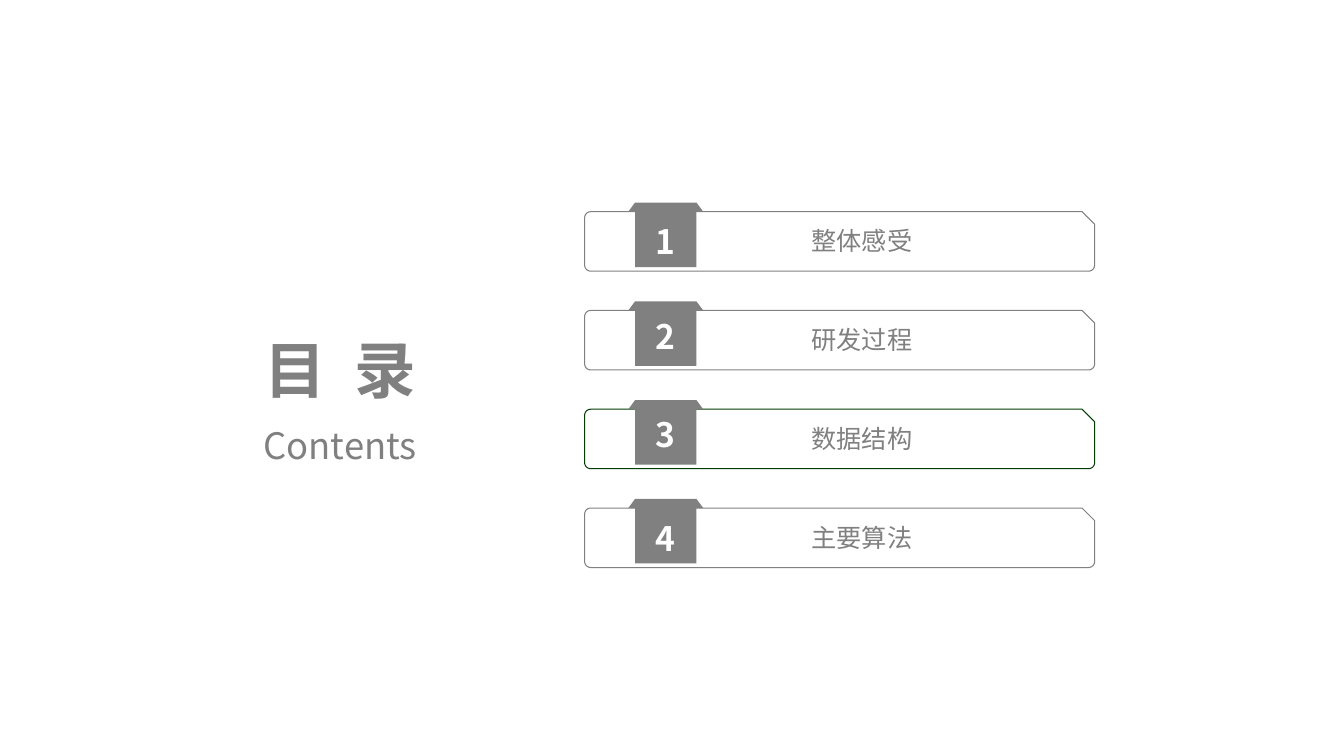
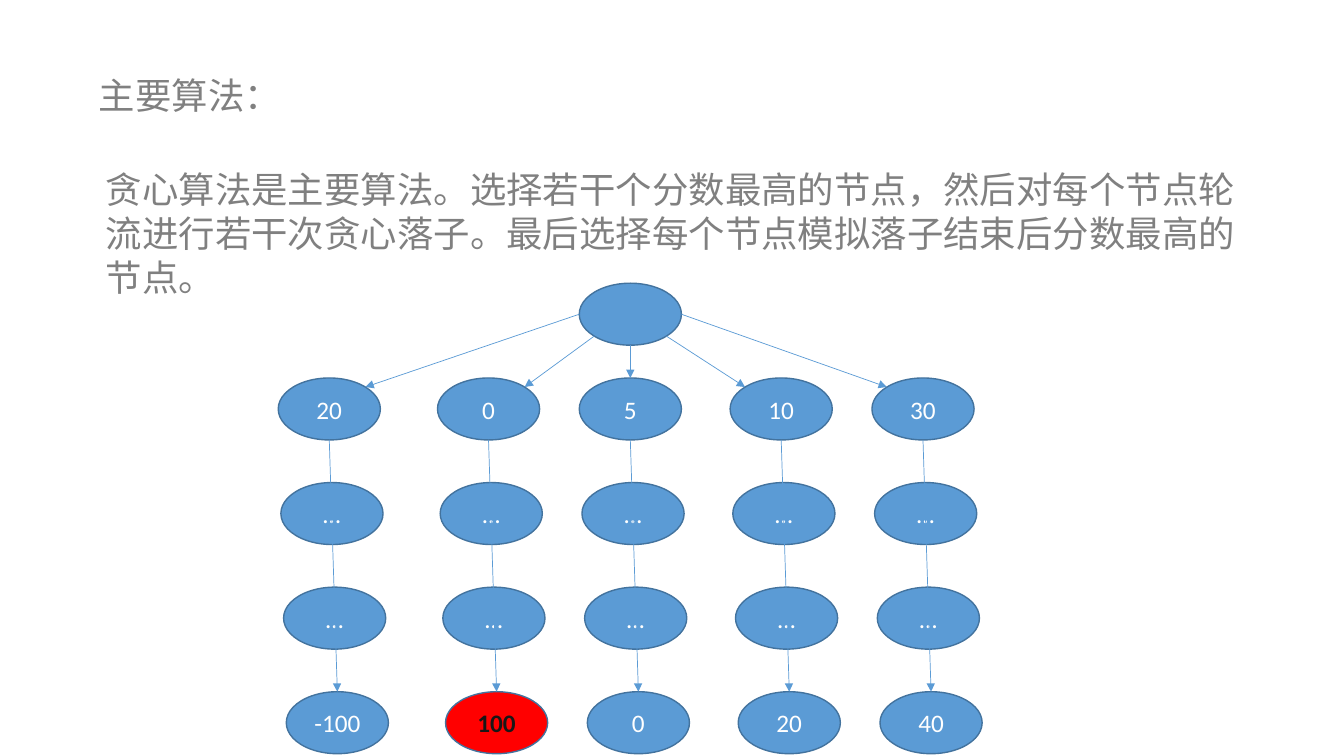
from math import cos, radians, sin

from lxml import etree
from pptx import Presentation
from pptx import util as u
from pptx.dml.color import RGBColor
from pptx.enum import shapes, text
from pptx.oxml import ns

COLORS = {
    "grey": "808080", "white": "FFFFFF", "green": "023D05", "blue": "5B9BD5",
    "edge": "43739E", "red": "FF0000", "ink": "181717",
}
CJK, LATIN = "Noto Sans CJK SC", "Calibri"
LEFT, CENTER = text.PP_ALIGN.LEFT, text.PP_ALIGN.CENTER

deck = Presentation()
deck.slide_width, deck.slide_height = u.Inches(13.33), u.Inches(7.5)
COL, ROW = deck.slide_width / 40, deck.slide_height / 30


def write(shape, words, size, color="grey", font=CJK, bold=False, align=LEFT,
          at=None, inset=None, wrap=True, anchor=text.MSO_ANCHOR.TOP):
    """Set the words of a shape, with its place given in columns and rows."""
    if at:
        shape.left, shape.top, shape.width, shape.height = (
            int(n * unit) for n, unit in zip(at, (COL, ROW, COL, ROW)))
    frame = shape.text_frame
    frame.text = words
    frame.word_wrap = wrap
    frame.auto_size = text.MSO_AUTO_SIZE.NONE
    frame.vertical_anchor = anchor
    if inset:
        frame.margin_left = frame.margin_right = u.Inches(inset[0])
        frame.margin_top = frame.margin_bottom = u.Inches(inset[1])
    for paragraph in frame.paragraphs:
        props = paragraph._p.get_or_add_pPr()
        props.set("marL", "0")
        props.set("indent", "0")
        etree.SubElement(props, ns.qn("a:buNone"))
        paragraph.alignment = align
        paragraph.space_before = u.Pt(0)
        if font == CJK:
            paragraph.line_spacing = u.Pt(1.2 * size)
        for run in paragraph.runs:
            run.font.name, run.font.size, run.font.bold = font, u.Pt(size), bold
            run.font.color.rgb = RGBColor.from_string(COLORS[color])
            east_asian = etree.SubElement(run._r.get_or_add_rPr(), ns.qn("a:ea"))
            east_asian.set("typeface", font)


def paint(shape, fill=None, line=None, width=0):
    shape.shadow.inherit = False
    if fill:
        shape.fill.solid()
        shape.fill.fore_color.rgb = RGBColor.from_string(COLORS[fill])
    else:
        shape.fill.background()
    if line:
        shape.line.color.rgb = RGBColor.from_string(COLORS[line])
        shape.line.width = u.Pt(width)
    else:
        shape.line.fill.background()


# Contents slide: heading
contents = deck.slides.add_slide(deck.slide_layouts[0])
heading, subheading = contents.placeholders
write(heading, "目 录", 44, bold=True, align=CENTER, at=(6.84, 12.96, 6.57, 3.36))
heading.text_frame.paragraphs[0].runs[0]._r.rPr.set("spc", "500")
write(subheading, "Contents", 26, align=CENTER, at=(6.84, 16.6, 6.57, 2.16))

# Contents slide: one card per chapter
chapters = [  # label, outline, drop of the number below the card's top
    ("整体感受", "grey", 0.24),
    ("研发过程", "grey", 0.08),
    ("数据结构", "green", 0.08),
    ("主要算法", "grey", 0.28),
]
card_left, card_right = 17.4 * COL, 32.58 * COL
radius, snip = 0.24 * ROW, 0.5 * ROW
tight = (0.06, 0.03)
for i, (label, outline, drop) in enumerate(chapters):
    row = 8.4 + 3.92 * i
    top, bottom = row * ROW, (row + 2.36) * ROW

    # Card with three round corners and one cut corner
    points = [(card_right - snip, top), (card_right, top + snip)]
    for x, y, start in ((card_right - radius, bottom - radius, 0),
                        (card_left + radius, bottom - radius, 90),
                        (card_left + radius, top + radius, 180)):
        for angle in range(start, start + 91, 15):
            points.append((x + radius * cos(radians(angle)),
                           y + radius * sin(radians(angle))))
    card = contents.shapes.build_freeform(*points[0])
    card.add_line_segments(points[1:])
    paint(card.convert_to_shape(), line=outline)
    write(contents.shapes.add_textbox(0, 0, 0, 0), label, 18,
          at=(23.97, row + 0.44, 8.94, 1.44), inset=tight)

    # Number tab folded over the card's edge
    fold_top = top - 0.36 * ROW
    fold = contents.shapes.build_freeform(18.9 * COL, fold_top)
    fold.add_line_segments([(20.73 * COL, fold_top), (20.93 * COL, top),
                            (18.7 * COL, top)])
    paint(fold.convert_to_shape(), fill="grey")
    tab = contents.shapes.add_shape(
        shapes.MSO_SHAPE.RECTANGLE, int(18.9 * COL), int(top - 0.28 * ROW),
        int(1.83 * COL), int(2.48 * ROW))
    paint(tab, fill="grey")
    write(contents.shapes.add_textbox(0, 0, 0, 0), str(i + 1), 24, "white",
          bold=True, align=CENTER, at=(19.17, row + drop, 1.26, 1.84), inset=tight)

# Algorithm slide: title and explanation
algorithm = deck.slides.add_slide(deck.slide_layouts[1])
title, explanation = algorithm.placeholders
write(title, "主要算法：", 26, at=(2.64, 2.68, 6.09, 2.16), wrap=False)
write(explanation,
      "贪心算法是主要算法。选择若干个分数最高的节点，然后对每个节点轮流进行若干次贪心落子。"
      "最后选择每个节点模拟落子结束后分数最高的\n节点。",
      26, at=(2.85, 6.44, 34.26, 5.64))

# Algorithm slide: search tree, a root above five branches of four levels
node_width, node_height = 3.04, 2.46
branches = [  # left column, first score, last score
    (8.28, "20", "-100"), (13.02, "0", "100"), (17.24, "5", "0"),
    (21.73, "10", "20"), (25.95, "30", "40"),
]
root = (17.24, 11.24)
nodes = [(root, "")]
for column, first, last in branches:
    for level, score in enumerate((first, "…", "…", last)):
        nodes.append(((column + 0.08 * level, 15 + 4.15 * level), score))
for (column, row), score in nodes:
    best = score == "100"
    node = algorithm.shapes.add_shape(
        shapes.MSO_SHAPE.OVAL, int(column * COL), int(row * ROW),
        int(node_width * COL), int(node_height * ROW))
    paint(node, "red" if best else "blue", "edge", 1)
    if score:
        write(node, score, 18, "ink" if best else "white", LATIN, best, CENTER,
              anchor=text.MSO_ANCHOR.MIDDLE)

# Arrows run between angles on the nodes' rims, clockwise from the right
arrows = []
for (column, _, _), leave, arrive in zip(
        branches, (180, 135, 90, 45, 0), (-45, -45, -90, -135, -135)):
    arrows.append((root, leave, (column, 15), arrive))
    arrows.append(((column, 15), 90, (column + 0.24, 27.45), -90))
for start, leave, end, arrive in arrows:
    ends = []
    for (column, row), angle in ((start, leave), (end, arrive)):
        ends.append(int((column + node_width / 2 * (1 + cos(radians(angle)))) * COL))
        ends.append(int((row + node_height / 2 * (1 + sin(radians(angle)))) * ROW))
    arrow = algorithm.shapes.add_connector(shapes.MSO_CONNECTOR.STRAIGHT, *ends)
    arrow.line.color.rgb = RGBColor.from_string(COLORS["blue"])
    arrow.line.width = u.Pt(0.5)
    etree.SubElement(arrow.line._get_or_add_ln(), ns.qn("a:tailEnd")).set("type", "triangle")
    etree.SubElement(arrow._element.spPr, ns.qn("a:effectLst"))

deck.save("out.pptx")
